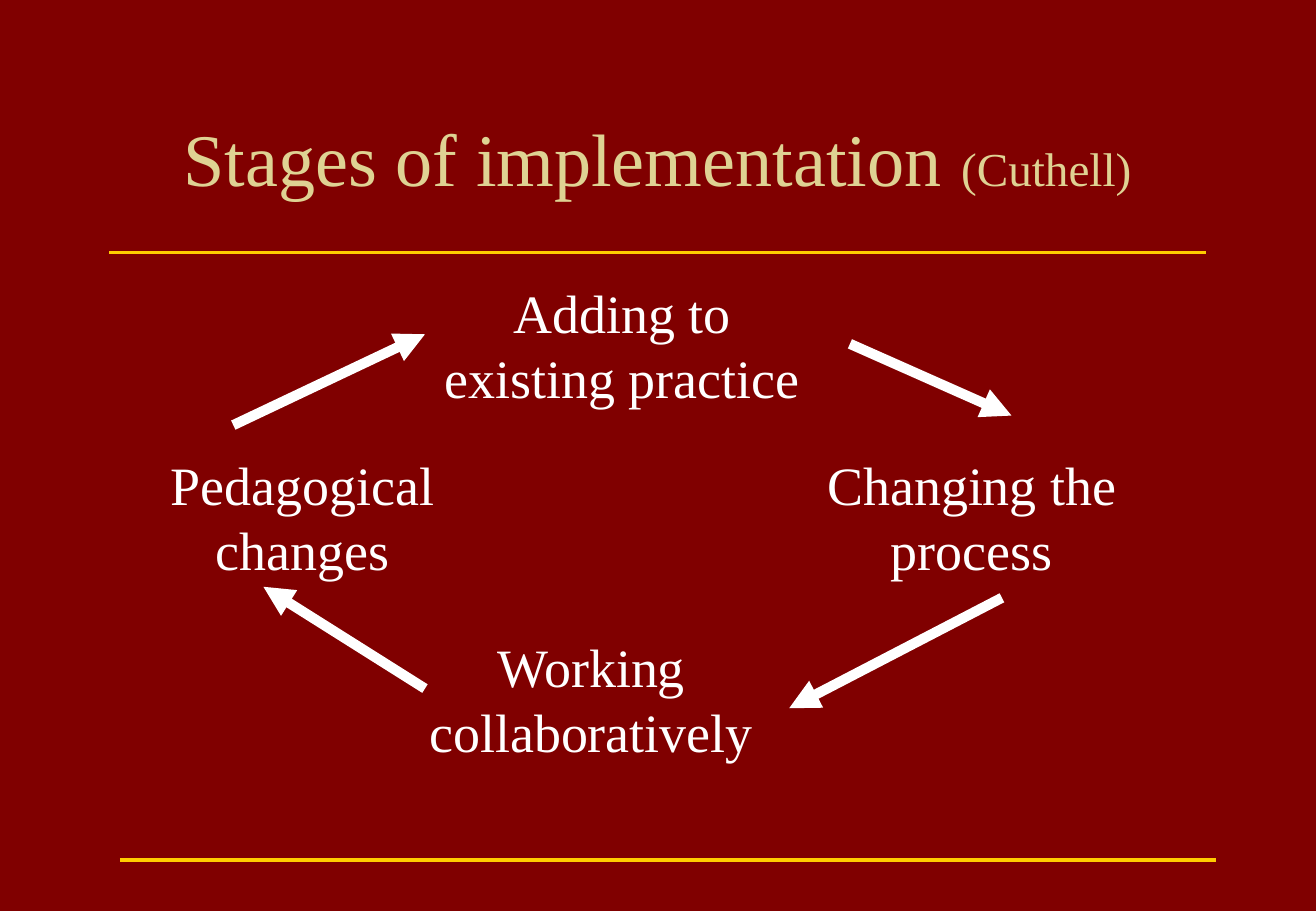
from lxml.etree import SubElement
from pptx import Presentation
from pptx.dml.color import RGBColor
from pptx.enum.shapes import MSO_CONNECTOR
from pptx.enum.text import MSO_ANCHOR, PP_ALIGN
from pptx.oxml.ns import qn
from pptx.util import Cm, Pt

MAROON = RGBColor(0x80, 0x00, 0x00)
SAND = RGBColor(0xDF, 0xD2, 0x93)
GOLD = RGBColor(0xFF, 0xCC, 0x00)
WHITE = RGBColor(0xFF, 0xFF, 0xFF)
FONT = "Times New Roman"
RULE = 22.93

# text, left, top, width: within the cycle's box
STAGES = [
    ("Adding to existing practice", 6.15, 0, 8.26),
    ("Changing the process", 13.57, 3.6, 8.05),
    ("Working collaboratively", 5.72, 7.41, 7.82),
    ("Pedagogical changes", 0, 3.6, 7.19),
]
# start x, start y, end x, end y: within the cycle's box
ARROWS = [
    (15.04, 1.47, 18.42, 2.97),
    (18.22, 6.78, 13.77, 9.09),
    (6.15, 8.68, 2.77, 6.55),
    (2.14, 3.17, 6.15, 1.27),
]


def add_text(slide, box, runs, color, anchor=MSO_ANCHOR.TOP):
    """Add a centred text box; runs are (text, size) pairs."""
    frame = slide.shapes.add_textbox(*map(Cm, box)).text_frame
    frame.word_wrap = True
    frame.vertical_anchor = anchor
    para = frame.paragraphs[0]
    para.alignment = PP_ALIGN.CENTER
    for text, size in runs:
        run = para.add_run()
        run.text = text
        run.font.name = FONT
        run.font.size = Pt(size)
        run.font.color.rgb = color


def add_line(slide, ends, color, width, arrow=False):
    line = slide.shapes.add_connector(MSO_CONNECTOR.STRAIGHT, *map(Cm, ends))
    line.line.color.rgb = color
    line.line.width = Pt(width)
    if arrow:
        SubElement(line.line._get_or_add_ln(), qn("a:tailEnd"), type="triangle")
    SubElement(line._element.spPr, qn("a:effectLst"))


def add_rule(slide, left, top):
    add_line(slide, (left, top, left + RULE, top), GOLD, 2.25)


def add_head(slide, left, top, width, height):
    """Add the title and the rule under it."""
    runs = [("Stages of implementation ", 44), ("(Cuthell)", 28)]
    add_text(slide, (left, top, width, height), runs, SAND, MSO_ANCHOR.MIDDLE)
    add_rule(slide, left + 0.23, top + height + 0.4)


def add_cycle(slide, left, top):
    """Add the four stages and the arrows between them."""
    for text, x, y, width in STAGES:
        add_text(slide, (left + x, top + y, width, 2.97), [(text, 32)], WHITE)
    for x1, y1, x2, y2 in ARROWS:
        ends = (left + x1, top + y1, left + x2, top + y2)
        add_line(slide, ends, WHITE, 6, arrow=True)


def main():
    deck = Presentation()
    deck.slide_width, deck.slide_height = Cm(27.53), Cm(19.05)
    slide = deck.slides.add_slide(deck.slide_layouts[6])
    fill = slide.background.fill
    fill.solid()
    fill.fore_color.rgb = MAROON
    add_head(slide, 2.06, 1.7, 23.39, 3.18)
    add_cycle(slide, 2.74, 5.72)
    add_rule(slide, 2.51, 17.98)
    deck.save("out.pptx")


if __name__ == "__main__":
    main()
